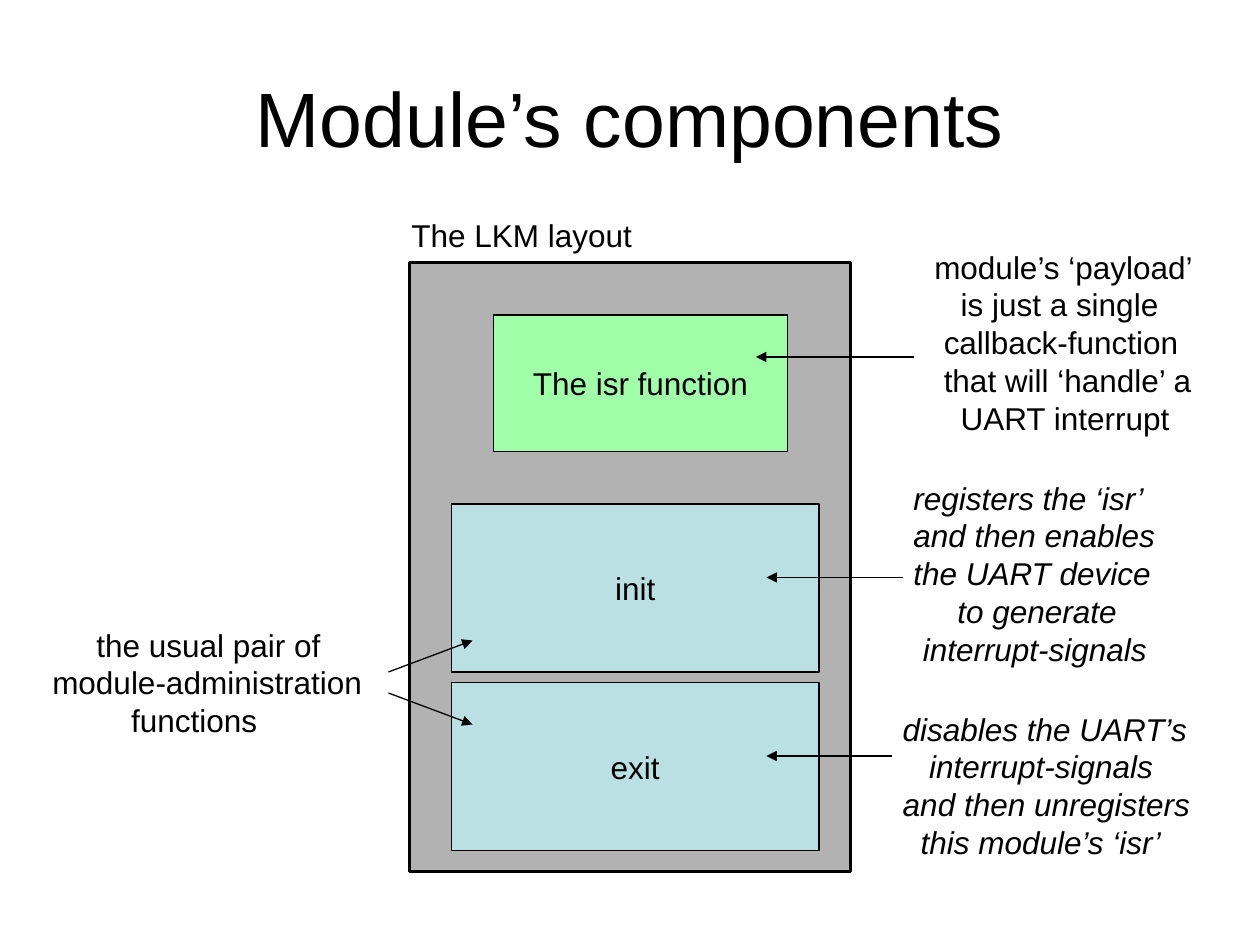
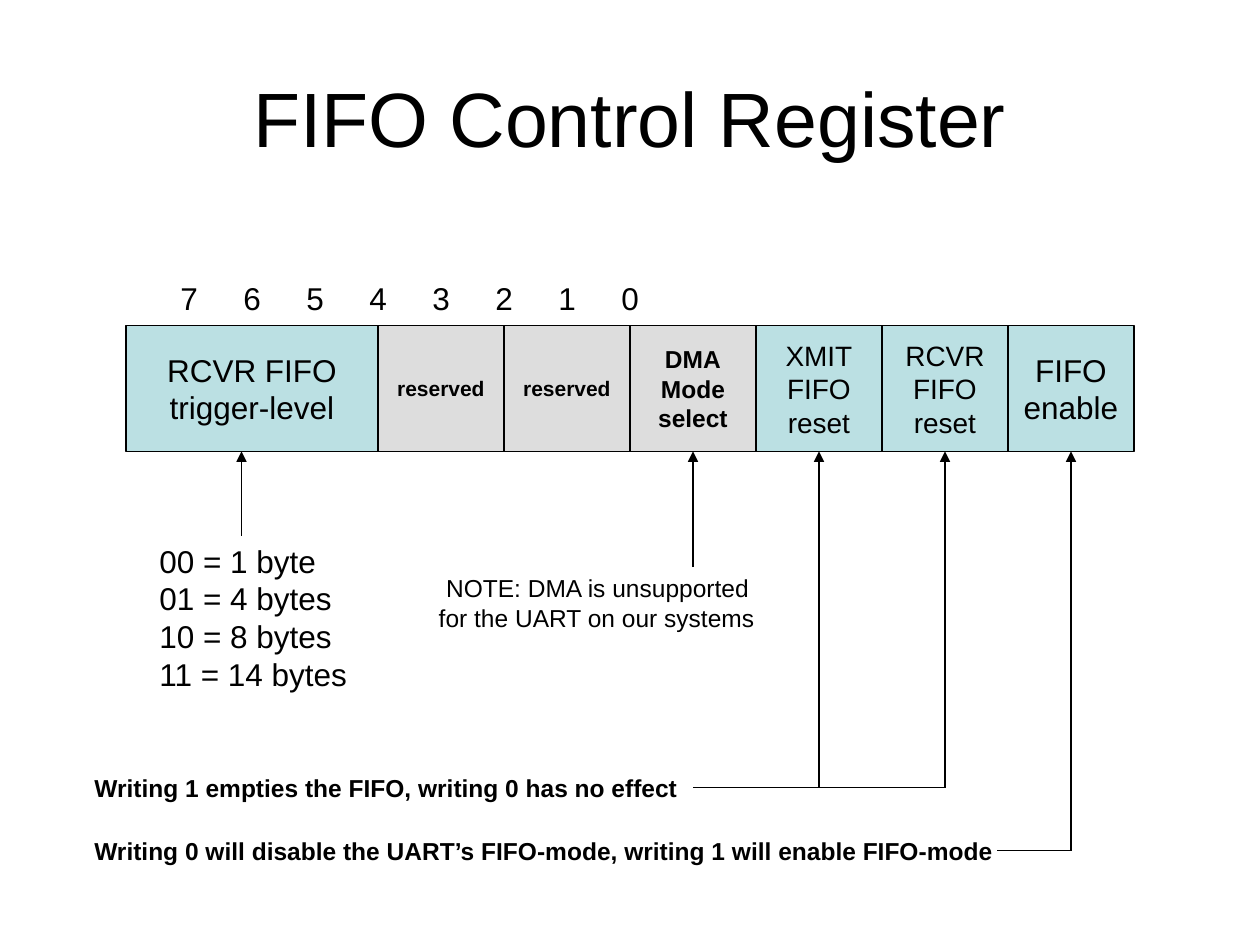
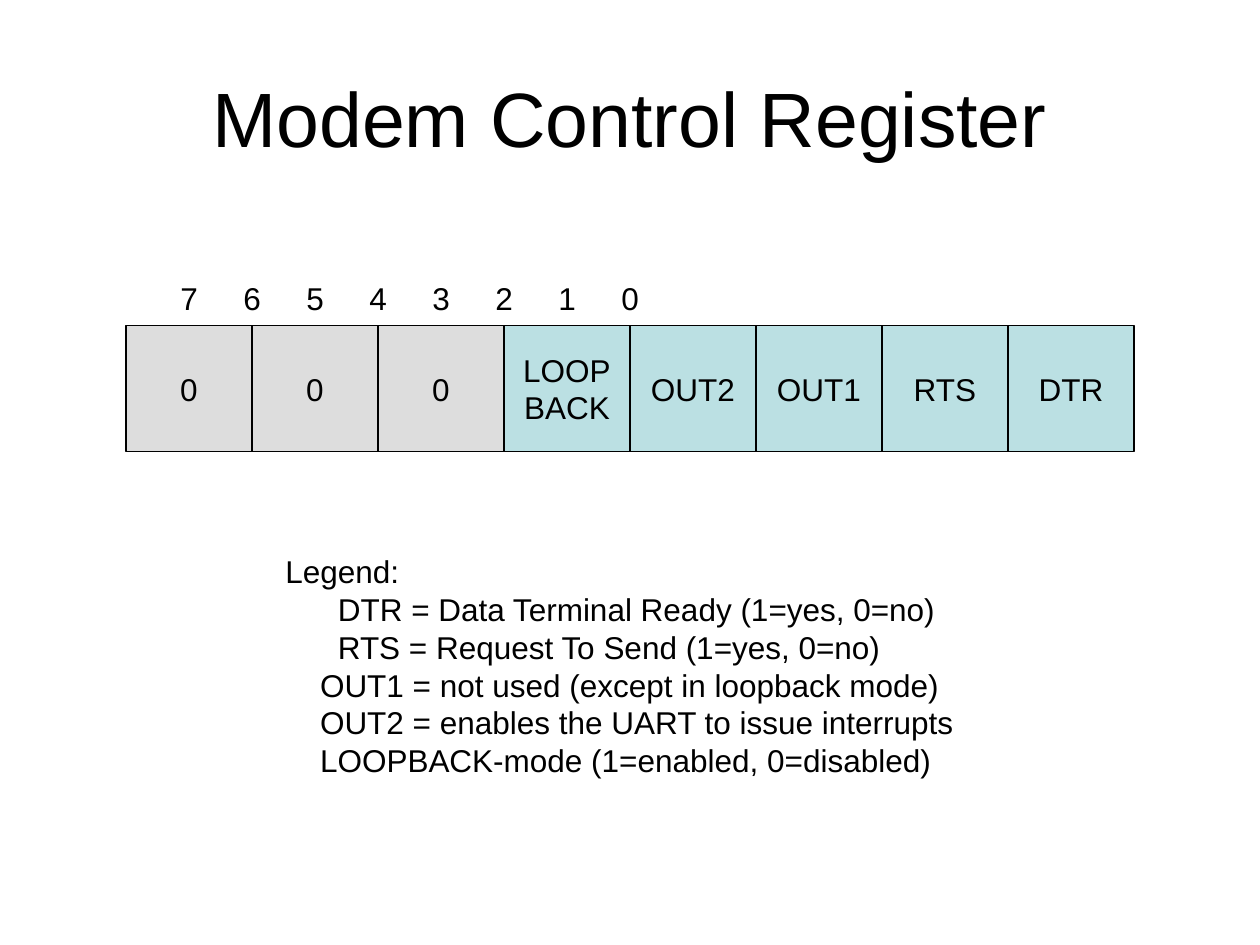
"""Build three slides on a kernel module and two UART control registers."""
from itertools import zip_longest

from lxml.etree import SubElement
from pptx import Presentation
from pptx.dml.color import RGBColor
from pptx.enum.shapes import MSO_CONNECTOR, MSO_SHAPE
from pptx.enum.text import MSO_ANCHOR, PP_ALIGN
from pptx.oxml.ns import qn
from pptx.util import Pt

PX = 914400 // 120
BLACK, TEAL, SILVER, GRAY, GREEN = "000000", "BBE0E3", "DDDDDD", "B2B2B2", "A0FEA9"
CELL, REGISTER_TOP = 120, 310
REGISTER_BOTTOM = REGISTER_TOP + CELL


def paint(fill, color):
    """Set a solid colour on the fill of a shape, line or font."""
    fill.solid()
    fill.fore_color.rgb = RGBColor.from_string(color)


def write(shape, text, size=18, bold=False, italic=False, align=PP_ALIGN.LEFT,
          anchor=MSO_ANCHOR.TOP, wrap=True, indents=(), tabs=()):
    """Write one paragraph per line, with left indents and tab stops in px."""
    frame = shape.text_frame
    frame.text = text
    frame.word_wrap = wrap
    frame.vertical_anchor = anchor
    for paragraph, indent in zip_longest(frame.paragraphs, indents, fillvalue=0):
        properties = paragraph._p.get_or_add_pPr()
        properties.set("marL", str(indent * PX))
        properties.set("indent", "0")
        if tabs:
            tab_list = SubElement(properties, qn("a:tabLst"))
            for stop in tabs:
                SubElement(tab_list, qn("a:tab"), pos=str(stop * PX), algn="l")
        paragraph.alignment = align
        for run in paragraph.runs:
            run.font.name = "Arial"
            run.font.size = Pt(size)
            run.font.bold = bold
            run.font.italic = italic
            paint(run.font.fill, BLACK)


deck = Presentation()
deck.slide_width, deck.slide_height = 1200 * PX, 900 * PX

slides = []
for heading in ("Module’s components", "FIFO Control Register", "Modem Control Register"):
    slide = deck.slides.add_slide(deck.slide_layouts[5])
    title = slide.shapes.title
    title.left, title.top, title.width, title.height = 60 * PX, 36 * PX, 1080 * PX, 150 * PX
    write(title, heading, size=44, align=PP_ALIGN.CENTER, anchor=MSO_ANCHOR.MIDDLE)
    slides.append(slide)
module, fifo, modem = slides

boxes = [
    (module, "", (390, 250, 420, 580), GRAY, 1.5, {}),
    (module, "init", (430, 480, 350, 160), TEAL, 0.75, {}),
    (module, "exit", (430, 650, 350, 160), TEAL, 0.75, {}),
    (module, "The isr function", (470, 300, 280, 130), GREEN, 0.75, {}),
]

registers = [
    (fifo, [
        ("RCVR FIFO\ntrigger-level", 2, TEAL, {}),
        ("reserved", 1, SILVER, {"size": 12, "bold": True}),
        ("reserved", 1, SILVER, {"size": 12, "bold": True}),
        ("DMA\nMode\nselect", 1, SILVER, {"size": 14, "bold": True}),
        ("XMIT\nFIFO\nreset", 1, TEAL, {"size": 16}),
        ("RCVR\nFIFO\nreset", 1, TEAL, {"size": 16}),
        ("FIFO\nenable", 1, TEAL, {}),
    ]),
    (modem, [("0", 1, SILVER, {})] * 3 + [
        (name, 1, TEAL, {}) for name in ("LOOP\nBACK", "OUT2", "OUT1", "RTS", "DTR")
    ]),
]
for slide, fields in registers:
    left = CELL
    for name, bits, color, style in fields:
        boxes.append((slide, name, (left, REGISTER_TOP, bits * CELL, CELL), color, 0.75, style))
        left += bits * CELL

fields_by_name = {}
for slide, name, place, color, outline, style in boxes:
    box = slide.shapes.add_shape(MSO_SHAPE.RECTANGLE, *(n * PX for n in place))
    box.shadow.inherit = False
    paint(box.fill, color)
    paint(box.line.fill, BLACK)
    box.line.width = Pt(outline)
    if name:
        write(box, name, align=PP_ALIGN.CENTER, anchor=MSO_ANCHOR.MIDDLE, wrap=False, **style)
    fields_by_name[name] = box

bit_numbers = "\t".join("76543210")
bit_row = (160, 260, 890, 48)
bit_stops = {"tabs": (125, 250, 367, 484, 609, 726, 842)}
captions = [
    (module, "The LKM layout", (380, 200, 240, 48), {}),
    (module, "registers the ‘isr’\nand then enables\nthe UART device\nto generate\ninterrupt-signals",
     (850, 450, 270, 192), {"italic": True, "indents": (8, 8, 8, 50, 17)}),
    (module, "disables the UART’s\ninterrupt-signals\nand then unregisters\nthis module’s ‘isr’",
     (840, 670, 310, 156), {"italic": True, "indents": (8, 33, 8, 25)}),
    (module, "module’s ‘payload’\nis just a single\ncallback-function\nthat will ‘handle’ a\nUART interrupt",
     (870, 230, 284, 192), {"indents": (8, 33, 17, 17, 33)}),
    (module, "the usual pair of\nmodule-administration\nfunctions",
     (30, 590, 328, 120), {"indents": (50, 8, 83)}),
    (fifo, bit_numbers, bit_row, bit_stops),
    (fifo, "Writing 0 will disable the UART’s FIFO-mode, writing 1 will enable FIFO-mode",
     (78, 790, 886, 41), {"size": 14, "bold": True}),
    (fifo, "Writing 1 empties the FIFO, writing 0 has no effect",
     (78, 730, 584, 41), {"size": 14, "bold": True}),
    (fifo, "00 = 1 byte\n01 = 4 bytes\n10 = 8 bytes\n11 = 14 bytes", (140, 510, 210, 156), {}),
    (fifo, "NOTE: DMA is unsupported\nfor the UART on our systems",
     (400, 540, 340, 68), {"size": 14, "indents": (13, 6)}),
    (modem, bit_numbers, bit_row, bit_stops),
    (modem, "Legend:\nDTR = Data Terminal Ready (1=yes, 0=no)\nRTS = Request To Send (1=yes, 0=no)\n"
            "OUT1 = not used (except in loopback mode)\nOUT2 = enables the UART to issue interrupts\n"
            "LOOPBACK-mode (1=enabled, 0=disabled)",
     (260, 520, 666, 228), {"indents": (0, 50, 50, 33, 33, 33)}),
]
for slide, text, place, style in captions:
    write(slide.shapes.add_textbox(*(n * PX for n in place)), text, **style)

pointers = [
    (module, (850, 720, 730, 720), True, None),
    (module, (860, 550, 730, 550), True, None),
    (module, (870, 340, 720, 340), True, None),
    (module, (370, 640, 450, 610), True, None),
    (module, (370, 660, 450, 690), True, None),
    (fifo, (1020, 810, 1020, REGISTER_BOTTOM), True, "FIFO\nenable"),
    (fifo, (950, 810, 1020, 810), False, None),
    (fifo, (780, 750, 780, REGISTER_BOTTOM), True, "XMIT\nFIFO\nreset"),
    (fifo, (900, 750, 900, REGISTER_BOTTOM), True, "RCVR\nFIFO\nreset"),
    (fifo, (660, 750, 900, 750), False, None),
    (fifo, (230, 510, 230, REGISTER_BOTTOM), True, None),
    (fifo, (660, 540, 660, REGISTER_BOTTOM), True, "DMA\nMode\nselect"),
]
for slide, ends, arrow, target in pointers:
    pointer = slide.shapes.add_connector(MSO_CONNECTOR.STRAIGHT, *(n * PX for n in ends))
    if target:
        pointer.end_connect(fields_by_name[target], 2)
    paint(pointer.line.fill, BLACK)
    pointer.line.width = Pt(0.75)
    if arrow:
        SubElement(pointer.line._get_or_add_ln(), qn("a:tailEnd"), type="triangle")
    SubElement(pointer._element.spPr, qn("a:effectLst"))

deck.save("out.pptx")
